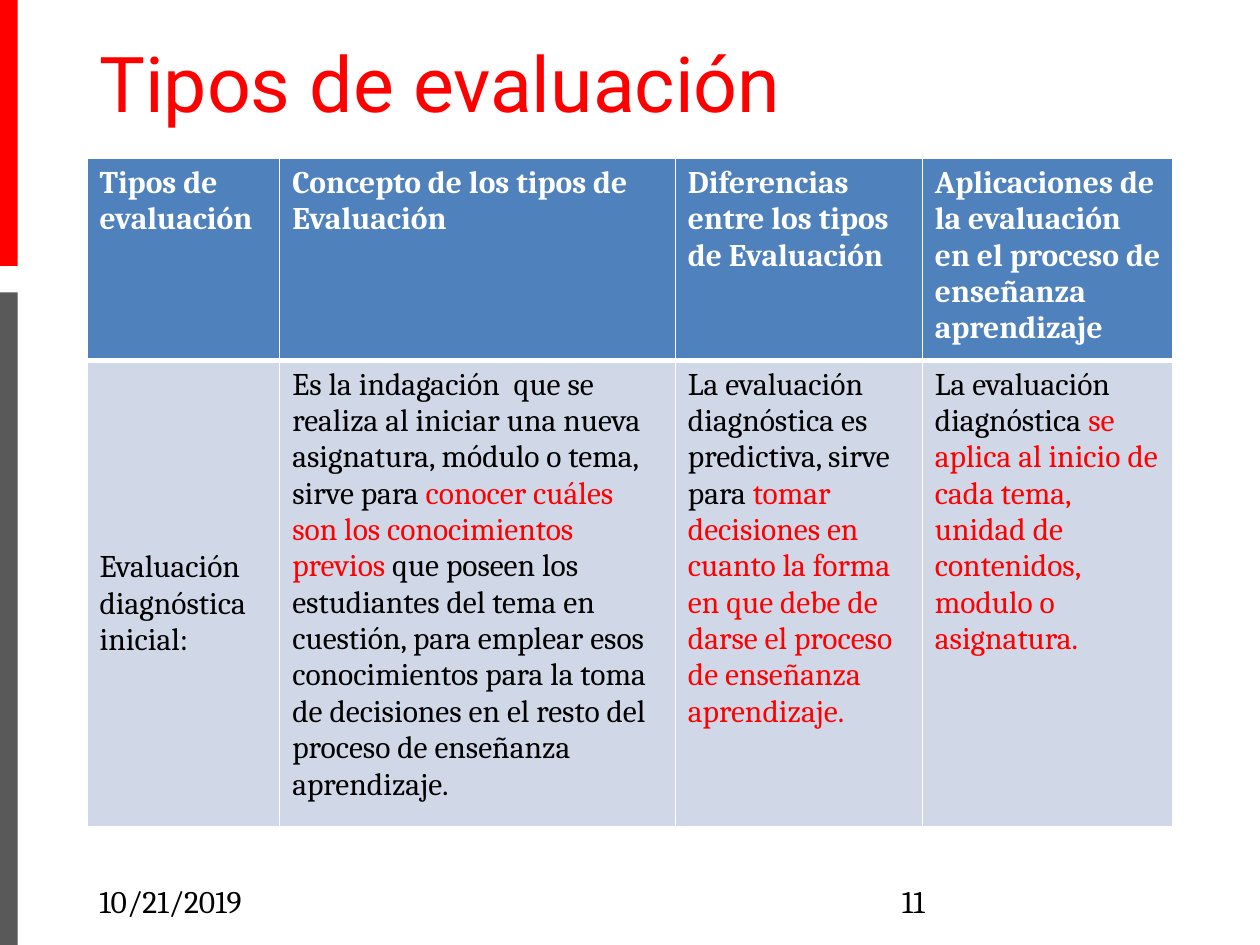
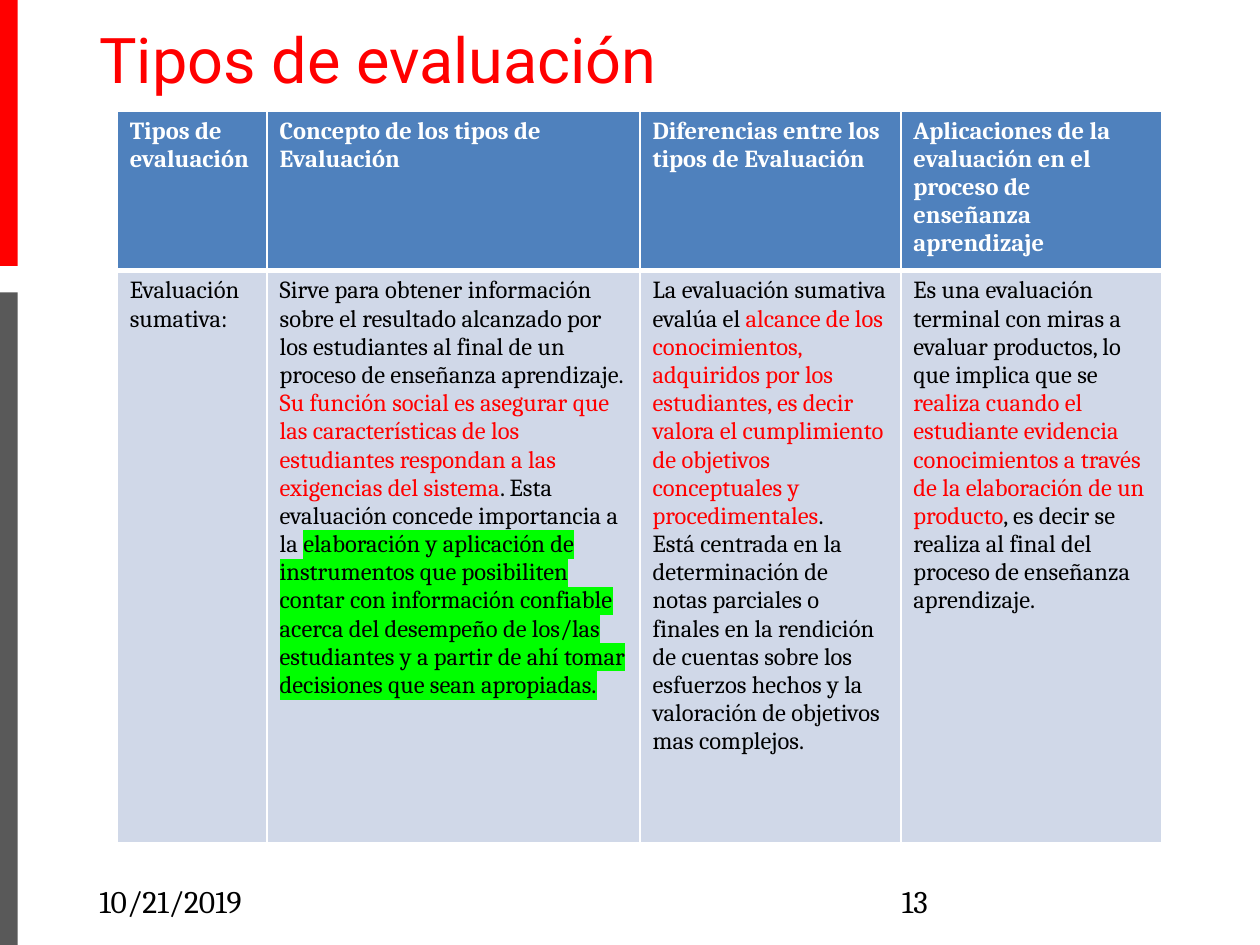
from dataclasses import dataclass

from lxml import etree
from pptx import Presentation
from pptx.dml.color import RGBColor
from pptx.enum.shapes import MSO_SHAPE
from pptx.enum.text import MSO_ANCHOR
from pptx.oxml.ns import qn
from pptx.util import Inches, Pt

# Shared look
RED = RGBColor(0xFF, 0x00, 0x00)
GRAY = RGBColor(0x59, 0x59, 0x59)
BLACK = RGBColor(0x00, 0x00, 0x00)
WHITE = RGBColor(0xFF, 0xFF, 0xFF)
HEADER_BLUE = RGBColor(0x4F, 0x81, 0xBD)
BODY_BLUE = RGBColor(0xD0, 0xD8, 0xE8)
GREEN = RGBColor(0x00, 0xFF, 0x00)
TITLE_FONT = "Roboto"
BODY_FONT = "Cambria"
THIN, THICK = 1, 3

TITLE = "Tipos de evaluación"
DATE = "10/21/2019"
HEADERS = (
    "Tipos de evaluación",
    "Concepto de los tipos de Evaluación",
    "Diferencias entre los tipos de Evaluación",
    "Aplicaciones de la evaluación en el proceso de enseñanza aprendizaje",
)


@dataclass(frozen=True)
class Span:
    text: str
    color: RGBColor = BLACK
    highlight: RGBColor | None = None
    bold: bool = False


Paragraphs = list[list[Span]]


@dataclass(frozen=True)
class Frame:
    left: float
    top: float
    width: float
    height: float

    def lengths(self) -> tuple:
        return tuple(Inches(v) for v in (self.left, self.top, self.width, self.height))


@dataclass(frozen=True)
class Band:
    frame: Frame
    color: RGBColor


@dataclass(frozen=True)
class EvaluationPage:
    number: str
    title_frame: Frame
    title_size: int
    table_left: float
    table_top: float
    columns: tuple[float, ...]
    rows: tuple[float, float]
    text_size: int
    cells: list[Paragraphs]
    first_cell_top: float = 0.05


BANDS = (
    Band(Frame(0, 0, 0.14, 2.11), RED),
    Band(Frame(0, 2.32, 0.14, 5.18), GRAY),
)
DATE_FRAME = Frame(0.69, 6.95, 2.25, 0.4)
NUMBER_FRAME = Frame(7.06, 6.95, 2.25, 0.4)

PAGES = (
    EvaluationPage(
        number="11",
        title_frame=Frame(0.69, 0.23, 8.16, 0.87),
        title_size=44,
        table_left=0.69,
        table_top=1.26,
        columns=(1.53, 3.14, 1.96, 1.99),
        rows=(1.54, 3.56),
        text_size=18,
        first_cell_top=1.5,
        cells=[
            [[Span("Evaluación diagnóstica inicial:")]],
            [[
                Span("Es la indagación  que se realiza al iniciar una nueva asignatura, "
                     "módulo o tema, sirve para "),
                Span("conocer cuáles son los conocimientos previos ", RED),
                Span("que poseen los estudiantes del tema en cuestión, para emplear esos "
                     "conocimientos para la toma de decisiones en el resto del proceso de "
                     "enseñanza aprendizaje."),
            ]],
            [[
                Span("La evaluación diagnóstica es predictiva, sirve para "),
                Span("tomar decisiones en cuanto la forma en que debe de darse el proceso "
                     "de enseñanza aprendizaje.", RED),
            ]],
            [[
                Span("La evaluación diagnóstica "),
                Span("se aplica al inicio de cada tema, unidad de contenidos, modulo o "
                     "asignatura.", RED),
            ]],
        ],
    ),
    EvaluationPage(
        number="13",
        title_frame=Frame(0.69, 0.11, 7.2, 0.59),
        title_size=36,
        table_left=0.93,
        table_top=0.88,
        columns=(1.19, 2.96, 2.07, 2.07),
        rows=(1.22, 4.54),
        text_size=14,
        cells=[
            [[Span("Evaluación sumativa:")]],
            [[
                Span("Sirve para obtener información sobre el resultado alcanzado por los "
                     "estudiantes al final de un proceso de enseñanza aprendizaje. "),
                Span("Su función social es asegurar que las características de los "
                     "estudiantes respondan a las exigencias del sistema", RED),
                Span(". Esta evaluación concede importancia a la "),
                Span("elaboración y aplicación de instrumentos que posibiliten contar con "
                     "información confiable acerca del desempeño de los/las estudiantes y a "
                     "partir de ahí tomar decisiones que sean apropiadas.", highlight=GREEN),
            ]],
            [
                [
                    Span("La evaluación sumativa evalúa el "),
                    Span("alcance de los conocimientos, adquiridos por los estudiantes, es "
                         "decir valora el cumplimiento de objetivos conceptuales y "
                         "procedimentales", RED),
                    Span("."),
                ],
                [Span("Está centrada en la determinación de notas parciales o finales en la "
                      "rendición de cuentas sobre los esfuerzos hechos y la valoración de "
                      "objetivos mas complejos.")],
            ],
            [[
                Span("Es una evaluación terminal con miras a evaluar productos, lo que "
                     "implica que se "),
                Span("realiza cuando el estudiante evidencia conocimientos a través de la "
                     "elaboración de un producto", RED),
                Span(", es decir se realiza al final del proceso de enseñanza aprendizaje."),
            ]],
        ],
    ),
)


def write_text(text_frame, paragraphs: Paragraphs, size: int, font: str = BODY_FONT) -> None:
    text_frame.word_wrap = True
    for index, spans in enumerate(paragraphs):
        paragraph = text_frame.add_paragraph() if index else text_frame.paragraphs[0]
        for span in spans:
            run = paragraph.add_run()
            run.text = span.text
            run.font.size = Pt(size)
            run.font.bold = span.bold
            run.font.color.rgb = span.color
            if span.highlight is not None:
                # The highlight element belongs right after the text fill
                highlight = etree.Element(qn("a:highlight"))
                etree.SubElement(highlight, qn("a:srgbClr"), val=str(span.highlight))
                run.font._element.find(qn("a:solidFill")).addnext(highlight)
            run.font.name = font


def add_text(slide, frame: Frame, span: Span, size: int, font: str = BODY_FONT) -> None:
    box = slide.shapes.add_textbox(*frame.lengths())
    write_text(box.text_frame, [[span]], size, font)
    box.text_frame.vertical_anchor = MSO_ANCHOR.TOP


def add_band(slide, band: Band) -> None:
    shape = slide.shapes.add_shape(MSO_SHAPE.RECTANGLE, *band.frame.lengths())
    shape.shadow.inherit = False
    shape.fill.solid()
    shape.fill.fore_color.rgb = band.color
    shape.line.fill.background()


def style_cell(cell, fill: RGBColor, top: int, bottom: int) -> None:
    properties = cell._tc.get_or_add_tcPr()
    for side, width in (("L", THIN), ("R", THIN), ("T", top), ("B", bottom)):
        border = etree.SubElement(properties, qn(f"a:ln{side}"), w=str(Pt(width)))
        solid = etree.SubElement(border, qn("a:solidFill"))
        etree.SubElement(solid, qn("a:srgbClr"), val=str(WHITE))
    cell.fill.solid()
    cell.fill.fore_color.rgb = fill


def add_evaluation_table(slide, page: EvaluationPage) -> None:
    frame = Frame(page.table_left, page.table_top, sum(page.columns), sum(page.rows))
    table = slide.shapes.add_table(len(page.rows), len(page.columns), *frame.lengths()).table
    for row, height in zip(table.rows, page.rows):
        row.height = Inches(height)
    for column, width in zip(table.columns, page.columns):
        column.width = Inches(width)
    for index, (header, paragraphs) in enumerate(zip(HEADERS, page.cells)):
        header_cell, body_cell = table.cell(0, index), table.cell(1, index)
        style_cell(header_cell, HEADER_BLUE, THIN, THICK)
        style_cell(body_cell, BODY_BLUE, THICK, THIN)
        write_text(header_cell.text_frame, [[Span(header, WHITE, bold=True)]], page.text_size)
        write_text(body_cell.text_frame, paragraphs, page.text_size)
    table.cell(1, 0).margin_top = Inches(page.first_cell_top)


def add_page(deck, page: EvaluationPage) -> None:
    slide = deck.slides.add_slide(deck.slide_layouts[6])
    for band in BANDS:
        add_band(slide, band)
    add_text(slide, page.title_frame, Span(TITLE, RED), page.title_size, TITLE_FONT)
    add_evaluation_table(slide, page)
    # Footer
    add_text(slide, DATE_FRAME, Span(DATE), 18)
    add_text(slide, NUMBER_FRAME, Span(page.number), 18)


def main() -> None:
    deck = Presentation()
    deck.slide_width, deck.slide_height = Inches(10), Inches(7.5)
    for page in PAGES:
        add_page(deck, page)
    deck.save("out.pptx")


if __name__ == "__main__":
    main()
